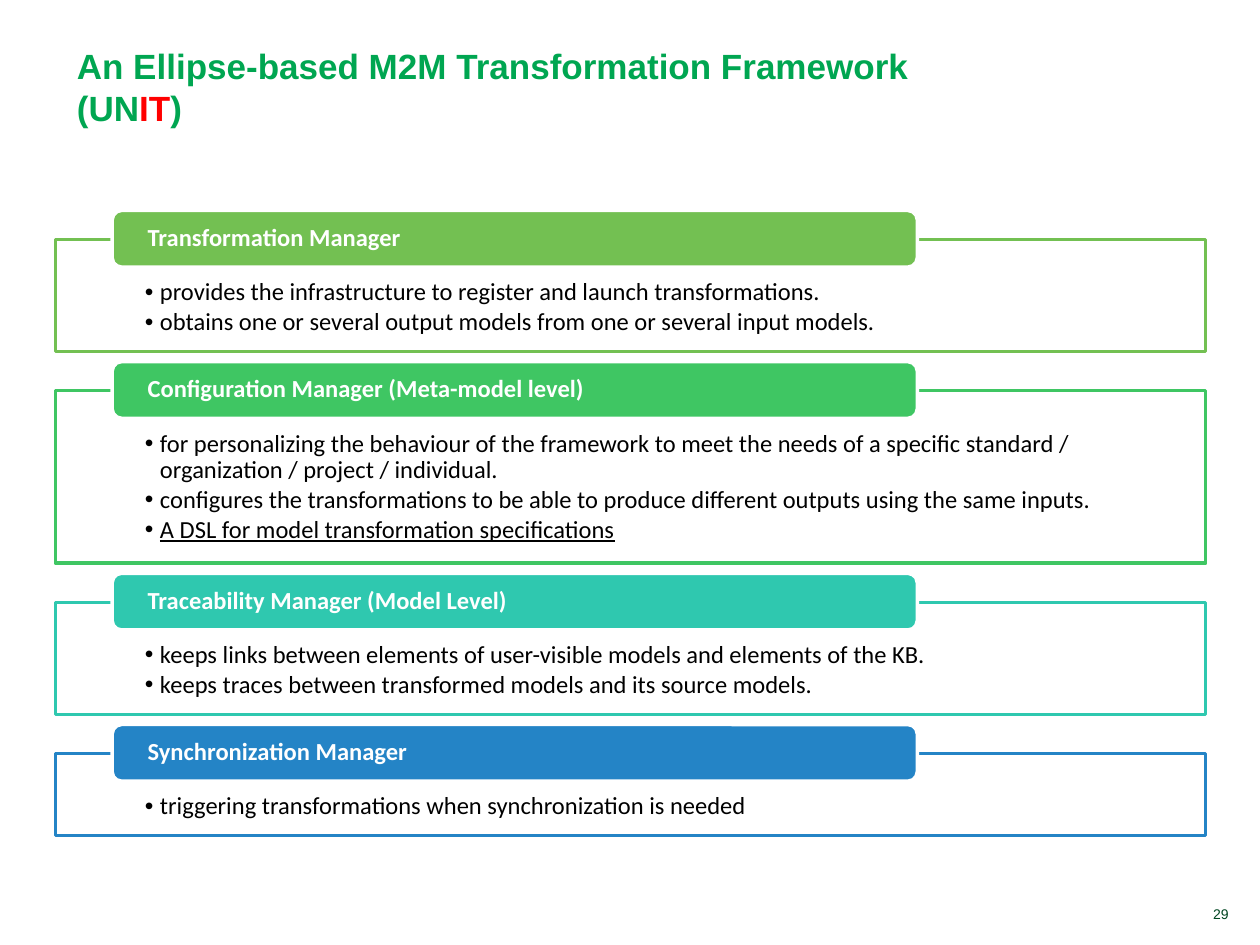
from lxml import etree
from pptx import Presentation
from pptx.dml.color import RGBColor
from pptx.enum import shapes as sh, text as tx
from pptx.oxml.ns import qn
from pptx.util import Inches, Pt

WHITE = RGBColor(0xFF, 0xFF, 0xFF)
BLACK = RGBColor(0, 0, 0)
TITLE_GREEN = RGBColor(0x00, 0xA6, 0x51)
RED = RGBColor(0xFF, 0, 0)
DARK_GREEN = RGBColor(0x00, 0x46, 0x21)
LIME = RGBColor(0x73, 0xC0, 0x52)
GREEN = RGBColor(0x3F, 0xC6, 0x63)
TEAL = RGBColor(0x2F, 0xC8, 0xAF)
BLUE = RGBColor(0x24, 0x84, 0xC6)

TITLE = [
    ("An Ellipse-based M2M Transformation Framework (UN", TITLE_GREEN),
    ("IT", RED),
    (")", TITLE_GREEN),
]
PAGE_NUMBER = "29"
DSL = "A DSL for model transformation specifications"
MANAGERS = [
    ("Transformation Manager", LIME, 2, [
        "provides the infrastructure to register and launch transformations.",
        "obtains one or several output models from one or several input models.",
    ]),
    ("Configuration Manager (Meta-model level)", GREEN, 4, [
        "for personalizing the behaviour of the framework to meet the needs of a specific standard / organization / project / individual.",
        "configures the transformations to be able to produce different outputs using the same inputs.",
        DSL,
    ]),
    ("Traceability Manager (Model Level)", TEAL, 2, [
        "keeps links between elements of user-visible models and elements of the KB.",
        "keeps traces between transformed models and its source models.",
    ]),
    ("Synchronization Manager", BLUE, 1, [
        "triggering transformations when synchronization is needed",
    ]),
]

FIRST_TOP, GAP = 1.9, 0.31
BOX_PADDING, LINE_HEIGHT = 0.41, 0.24
HEADER_RISE = 0.23


def write(paragraph, words, size=14, font="Calibri", color=BLACK, bold=False, underline=False):
    run = paragraph.add_run()
    run.text = words
    run.font.size = Pt(size)
    run.font.name = font
    run.font.color.rgb = color
    run.font.bold = bold
    run.font.underline = underline


def set_frame(frame, anchor, left=0.1, top=0.05, right=0.1, bottom=0.05):
    frame.word_wrap = True
    frame.auto_size = tx.MSO_AUTO_SIZE.NONE
    frame.vertical_anchor = anchor
    frame.margin_left, frame.margin_top = Inches(left), Inches(top)
    frame.margin_right, frame.margin_bottom = Inches(right), Inches(bottom)


def add_panel(slide, preset, place, fill, line):
    panel = slide.shapes.add_shape(preset, *map(Inches, place))
    panel.shadow.inherit = False
    panel.fill.solid()
    panel.fill.fore_color.rgb = fill
    panel.line.color.rgb = line
    panel.line.width = Pt(2)
    return panel.text_frame


def add_bullet(paragraph):
    properties = paragraph._p.get_or_add_pPr()
    properties.set("marL", str(Inches(0.12)))
    properties.set("indent", str(-Inches(0.12)))
    etree.SubElement(properties, qn("a:buFont")).set("typeface", "Arial")
    etree.SubElement(properties, qn("a:buChar")).set("char", "•")


def add_manager(slide, top, height, name, color, duties):
    body = add_panel(slide, sh.MSO_SHAPE.RECTANGLE, (0.44, top, 9.13, height), WHITE, color)
    set_frame(body, tx.MSO_ANCHOR.TOP, 0.71, 0.32, 0.71, 0.11)
    for index, duty in enumerate(duties):
        paragraph = body.add_paragraph() if index else body.paragraphs[0]
        paragraph.alignment = tx.PP_ALIGN.LEFT
        paragraph.line_spacing = 0.9
        paragraph.space_after = Pt(2)
        add_bullet(paragraph)
        write(paragraph, duty, underline=duty == DSL)

    header = add_panel(slide, sh.MSO_SHAPE.ROUNDED_RECTANGLE,
                       (0.89, top - HEADER_RISE, 6.39, 0.45), color, WHITE)
    set_frame(header, tx.MSO_ANCHOR.MIDDLE, 0.26, 0, 0.26, 0)
    heading = header.paragraphs[0]
    heading.alignment = tx.PP_ALIGN.LEFT
    heading.line_spacing = 0.9
    write(heading, name, color=WHITE, bold=True)


def main():
    deck = Presentation()
    deck.slide_width, deck.slide_height = Inches(10), Inches(7.5)
    slide = deck.slides.add_slide(deck.slide_layouts[5])

    title = slide.shapes.title
    title.left, title.top, title.width, title.height = map(Inches, (0.51, 0.16, 6.81, 0.91))
    set_frame(title.text_frame, tx.MSO_ANCHOR.BOTTOM)
    title_line = title.text_frame.paragraphs[0]
    title_line.alignment = tx.PP_ALIGN.LEFT
    for words, color in TITLE:
        write(title_line, words, size=20, font="Arial", color=color, bold=True)

    top = FIRST_TOP
    for name, color, lines, duties in MANAGERS:
        height = BOX_PADDING + lines * LINE_HEIGHT
        add_manager(slide, top, height, name, color, duties)
        top += height + GAP

    footer = slide.shapes.add_textbox(*map(Inches, (8.54, 7.14, 1.31, 0.23))).text_frame
    set_frame(footer, tx.MSO_ANCHOR.BOTTOM)
    footer.paragraphs[0].alignment = tx.PP_ALIGN.RIGHT
    write(footer.paragraphs[0], PAGE_NUMBER, size=8, font="Arial", color=DARK_GREEN)

    deck.save("out.pptx")


if __name__ == "__main__":
    main()
